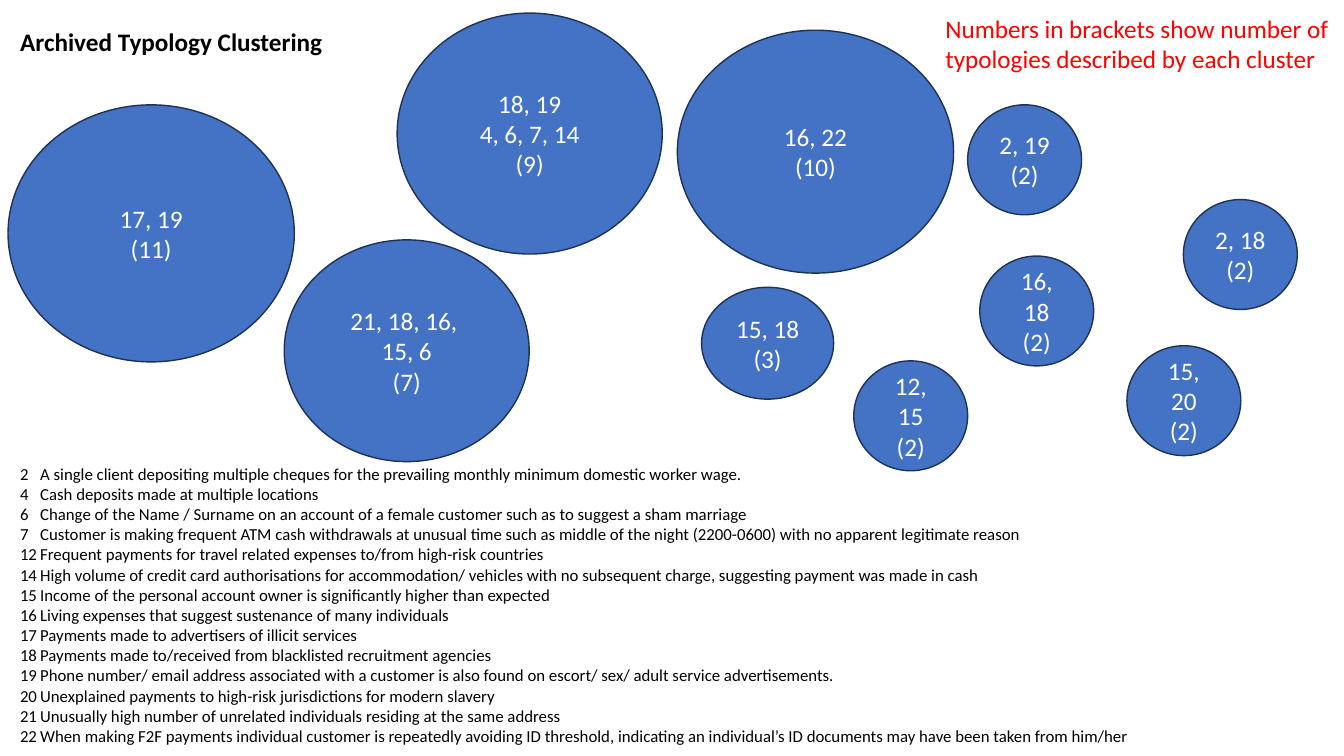
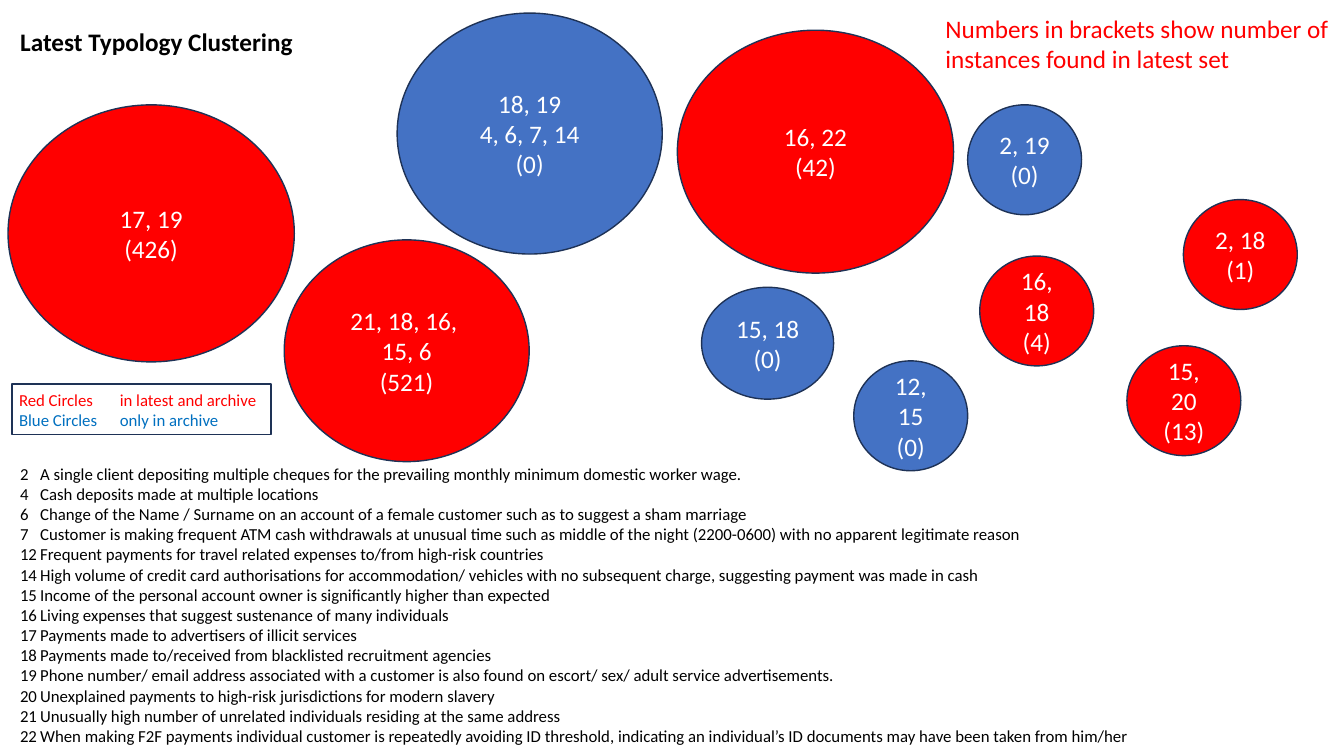
import dataclasses
import pptx
import pptx.util
import pptx.dml.color
import pptx.enum.shapes
import pptx.enum.text


@dataclasses.dataclass(frozen=True)
class Theme:
    font: str = "Calibri"
    blue: str = "4472C4"
    red: str = "FF0000"
    legend_blue: str = "0070C0"
    outline: str = "1E3256"
    black: str = "000000"
    white: str = "FFFFFF"
    large: int = 18
    small: int = 12


THEME = Theme()
CELL = 0.1
COLUMNS, ROWS = 133.33, 75
SMALL = (11.3, 10.9)
LEFT = 1
NUMBER_INDENT = 2


def grid(cells):
    return pptx.util.Inches(cells * CELL)


def colour(code):
    return pptx.dml.color.RGBColor.from_string(code)


class Page:
    def __init__(self, deck, theme):
        self.theme = theme
        self.slide = deck.slides.add_slide(deck.slide_layouts[5])

    def fill_text(self, box, lines, size, code, bold=False,
                  align=pptx.enum.text.PP_ALIGN.LEFT,
                  anchor=pptx.enum.text.MSO_ANCHOR.TOP):
        frame = box.text_frame
        frame.word_wrap = True
        frame.auto_size = pptx.enum.text.MSO_AUTO_SIZE.NONE
        frame.vertical_anchor = anchor
        frame.text = "\n".join(lines)
        for para in frame.paragraphs:
            para.alignment = align
            para.font.name = self.theme.font
            para.font.size = pptx.util.Pt(size)
            para.font.bold = bold
            para.font.color.rgb = colour(code)
        return frame.paragraphs

    def title(self, text, width):
        box = self.slide.shapes.title
        box.left, box.top, box.width, box.height = map(grid, (LEFT, 2.1, width, 4))
        self.fill_text(box, [text], self.theme.large, self.theme.black, bold=True)

    def text(self, at, lines, size, code):
        box = self.slide.shapes.add_textbox(*map(grid, at))
        return self.fill_text(box, lines, size, code)

    def shape(self, kind, at, fill=None):
        shape = self.slide.shapes.add_shape(kind, *map(grid, at))
        shape.shadow.inherit = False
        shape.line.color.rgb = colour(self.theme.outline)
        shape.line.width = pptx.util.Pt(1)
        if fill:
            shape.fill.solid()
            shape.fill.fore_color.rgb = colour(fill)
        else:
            shape.fill.background()
        return shape

    def cluster(self, at, lines, count, fill):
        circle = self.shape(pptx.enum.shapes.MSO_SHAPE.OVAL, at, fill)
        self.fill_text(circle, [*lines, f"({count})"], self.theme.large, self.theme.white,
                       align=pptx.enum.text.PP_ALIGN.CENTER,
                       anchor=pptx.enum.text.MSO_ANCHOR.MIDDLE)

    def note(self, text):
        self.text((92.8, 0.8, 42.9, 7.1), [text], self.theme.large, self.theme.red)

    def typologies(self, entries):
        lines = [f"{number}\t{wording}" for number, wording in entries.items()]
        at = (LEFT, 45.5, 113.1, 29.3)
        for para in self.text(at, lines, self.theme.small, self.theme.black):
            properties = para._p.get_or_add_pPr()
            properties.set("marL", str(grid(NUMBER_INDENT)))
            properties.set("indent", str(-grid(NUMBER_INDENT)))

    def legend(self):
        lines = ["Red Circles\tin latest and archive", "Blue Circles\tonly in archive"]
        at = (0.9, 38.2, 25.8, 5)
        paras = self.text(at, lines, self.theme.small, self.theme.red)
        paras[1].font.color.rgb = colour(self.theme.legend_blue)
        self.shape(pptx.enum.shapes.MSO_SHAPE.RECTANGLE, (1.2, 38.1, 25.7, 5))


CLUSTERS = [
    ((0.8, 10.4, 28.4, 25.5), ["17, 19"], 11, 426),
    ((39.4, 1.3, 26.3, 23.9), ["18, 19", "4, 6, 7, 14"], 9, 0),
    ((28.2, 23.8, 24.3, 22), ["21, 18, 16, ", "15, 6"], 7, 521),
    ((67.2, 3, 27.4, 24.1), ["16, 22"], 10, 42),
    ((69.6, 28.5, 13.1, 11.1), ["15, 18"], 3, 0),
    ((111.8, 34.3, *SMALL), ["15, 20"], 2, 13),
    ((84.7, 35.8, *SMALL), ["12, 15"], 2, 0),
    ((97.2, 25.4, *SMALL), ["16, 18"], 2, 4),
    ((96, 10.4, *SMALL), ["2, 19"], 2, 0),
    ((117.4, 19.8, *SMALL), ["2, 18"], 2, 1),
]

TYPOLOGIES = {
    2: "A single client depositing multiple cheques for the prevailing monthly minimum domestic worker wage.",
    4: "Cash deposits made at multiple locations",
    6: "Change of the Name / Surname on an account of a female customer such as to suggest a sham marriage",
    7: "Customer is making frequent ATM cash withdrawals at unusual time such as middle of the night "
       "(2200-0600) with no apparent legitimate reason",
    12: "Frequent payments for travel related expenses to/from high-risk countries",
    14: "High volume of credit card authorisations for accommodation/ vehicles with no subsequent charge, "
        "suggesting payment was made in cash",
    15: "Income of the personal account owner is significantly higher than expected",
    16: "Living expenses that suggest sustenance of many individuals",
    17: "Payments made to advertisers of illicit services",
    18: "Payments made to/received from blacklisted recruitment agencies",
    19: "Phone number/ email address associated with a customer is also found on escort/ sex/ adult "
        "service advertisements.",
    20: "Unexplained payments to high-risk jurisdictions for modern slavery",
    21: "Unusually high number of unrelated individuals residing at the same address",
    22: "When making F2F payments individual customer is repeatedly avoiding ID threshold, indicating an "
        "individual\u2019s ID documents may have been taken from him/her",
}


def build(deck, period, title_width, counted, latest):
    page = Page(deck, THEME)
    page.title(f"{period} Typology Clustering", title_width)
    for at, lines, archive_count, latest_count in CLUSTERS:
        count = latest_count if latest else archive_count
        fill = THEME.red if latest and latest_count else THEME.blue
        page.cluster(at, lines, count, fill)
    page.typologies(TYPOLOGIES)
    if latest:
        page.legend()
    page.note(f"Numbers in brackets show number of {counted}")


deck = pptx.Presentation()
deck.slide_width, deck.slide_height = grid(COLUMNS), grid(ROWS)
build(deck, "Archived", 32.2, "typologies described by each cluster", latest=False)
build(deck, "Latest", 29.3, "instances found in latest set", latest=True)
deck.save("out.pptx")
